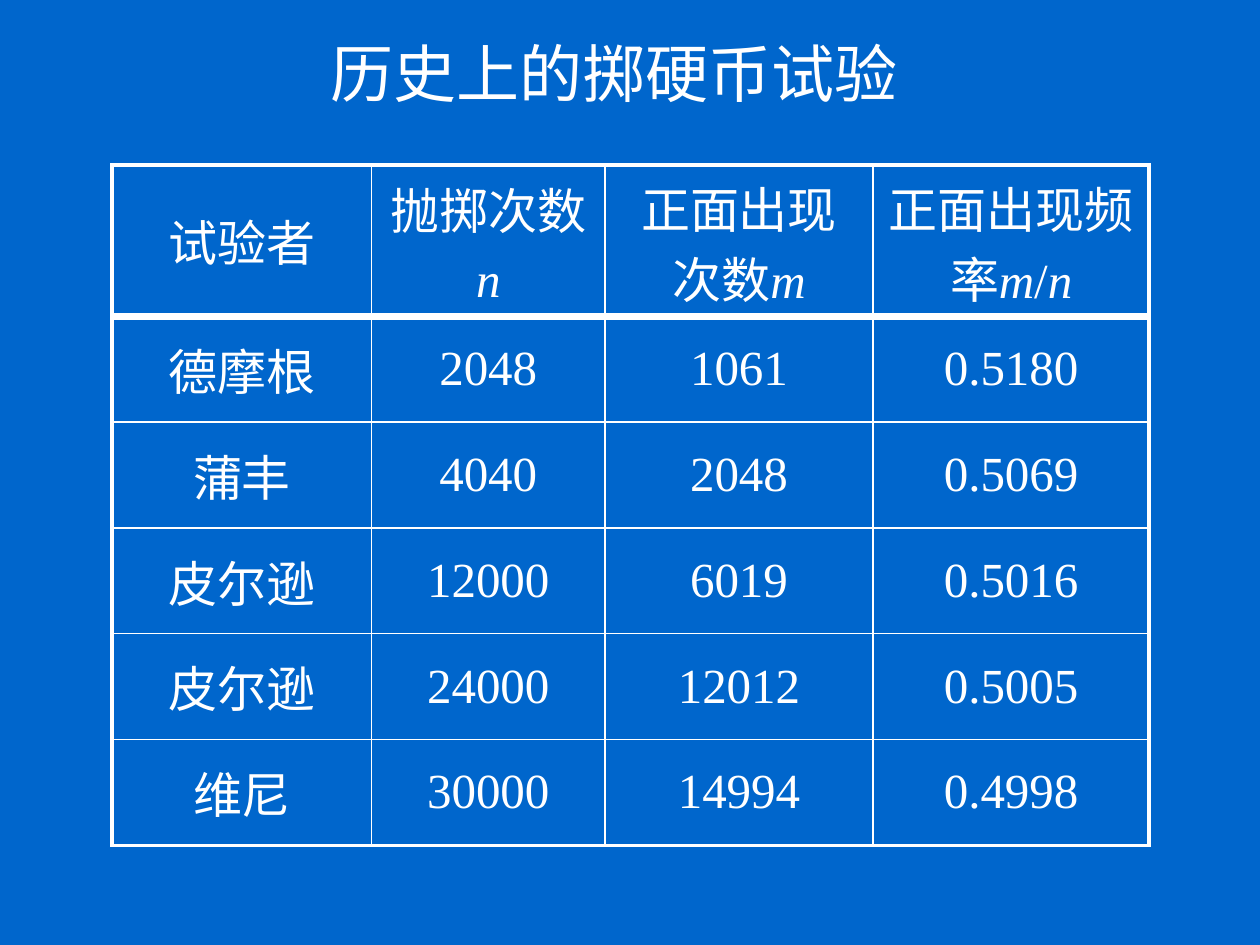
from dataclasses import dataclass
from typing import Any, NamedTuple

from lxml import etree
from pptx import Presentation
from pptx import util as u
from pptx.dml import color
from pptx.enum import text
from pptx.oxml import ns


@dataclass(frozen=True)
class Theme:
    background: str = "0066CC"
    ink: str = "FFFFFF"
    font: str = "Times New Roman"
    title_size: float = 36
    body_size: float = 28
    thin: float = 1
    frame: float = 2.25
    header_rule: float = 4.5


class Piece(NamedTuple):
    words: str
    italic: bool = False


class Trial(NamedTuple):
    experimenter: str
    tosses: str
    heads: str
    frequency: str


THEME = Theme()
SPACE_BEFORE = 20000

HEADINGS = [
    [[Piece("试验者")]],
    [[Piece("抛掷次数")], [Piece("n", True)]],
    [[Piece("正面出现次数"), Piece("m", True)]],
    [[Piece("正面出现频率"), Piece("m", True), Piece("/"), Piece("n", True)]],
]
TRIALS = [
    Trial("德摩根", "2048", "1061", "0.5180"),
    Trial("蒲丰", "4040", "2048", "0.5069"),
    Trial("皮尔逊", "12000", "6019", "0.5016"),
    Trial("皮尔逊", "24000", "12012", "0.5005"),
    Trial("维尼", "30000", "14994", "0.4998"),
]
COLUMN_WIDTHS = [2.06, 1.85, 2.13, 2.19]
ROW_HEIGHTS = [1.2] + [0.84] * len(TRIALS)


def apply_format(target: Any, values: dict[str, Any]) -> None:
    for name, value in values.items():
        setattr(target, name, value)


def write_line(paragraph: Any, pieces: list[Piece], size: float) -> None:
    paragraph.alignment = text.PP_ALIGN.CENTER
    for piece in pieces:
        run = paragraph.add_run()
        run.text = piece.words
        apply_format(run.font, {
            "name": THEME.font, "size": u.Pt(size), "italic": piece.italic,
        })
        run.font.color.rgb = color.RGBColor.from_string(THEME.ink)


def add_space_before(paragraph: Any) -> None:
    properties = paragraph._p.get_or_add_pPr()
    spacing = etree.SubElement(properties, ns.qn("a:spcBef"))
    etree.SubElement(spacing, ns.qn("a:spcPct"), val=str(SPACE_BEFORE))


def draw_borders(cell: Any, widths: dict[str, float]) -> None:
    properties = cell._tc.get_or_add_tcPr()
    for position, (side, width) in enumerate(widths.items()):
        border = etree.Element(ns.qn(f"a:ln{side}"), w=str(u.Pt(width)))
        fill = etree.SubElement(border, ns.qn("a:solidFill"))
        etree.SubElement(fill, ns.qn("a:srgbClr"), val=THEME.ink)
        properties.insert(position, border)


def fill_cell(cell: Any, lines: list[list[Piece]]) -> None:
    apply_format(cell, {
        "vertical_anchor": text.MSO_ANCHOR.MIDDLE,
        "margin_left": u.Inches(0.1), "margin_right": u.Inches(0.1),
        "margin_top": u.Inches(0.05), "margin_bottom": u.Inches(0.05),
    })
    cell.fill.background()
    frame = cell.text_frame
    for index, pieces in enumerate(lines):
        paragraph = frame.add_paragraph() if index else frame.paragraphs[0]
        write_line(paragraph, pieces, THEME.body_size)
        add_space_before(paragraph)


def add_title(slide: Any, words: str) -> None:
    title = slide.shapes.add_textbox(0, 0, u.Inches(9.75), u.Inches(0.92))
    apply_format(title.text_frame, {
        "word_wrap": True, "vertical_anchor": text.MSO_ANCHOR.BOTTOM,
    })
    write_line(title.text_frame.paragraphs[0], [Piece(words)], THEME.title_size)


def add_trials_table(slide: Any) -> None:
    contents = [HEADINGS] + [
        [[[Piece(value)]] for value in trial] for trial in TRIALS
    ]
    table = slide.shapes.add_table(
        len(ROW_HEIGHTS), len(COLUMN_WIDTHS), u.Inches(0.89), u.Inches(1.31),
        u.Inches(sum(COLUMN_WIDTHS)), u.Inches(sum(ROW_HEIGHTS)),
    ).table
    apply_format(table, {"first_row": False, "horz_banding": False})
    for column, width in zip(table.columns, COLUMN_WIDTHS):
        column.width = u.Inches(width)
    for row, height in zip(table.rows, ROW_HEIGHTS):
        row.height = u.Inches(height)

    across = [THEME.frame, THEME.header_rule]
    across += [THEME.thin] * (len(TRIALS) - 1) + [THEME.frame]
    down = [THEME.frame]
    down += [THEME.thin] * (len(COLUMN_WIDTHS) - 1) + [THEME.frame]
    for r, row_contents in enumerate(contents):
        for c, lines in enumerate(row_contents):
            cell = table.cell(r, c)
            fill_cell(cell, lines)
            draw_borders(cell, {
                "L": down[c], "R": down[c + 1],
                "T": across[r], "B": across[r + 1],
            })


def main() -> None:
    deck = Presentation()
    apply_format(deck, {
        "slide_width": u.Inches(10), "slide_height": u.Inches(7.5),
    })
    slide = deck.slides.add_slide(deck.slide_layouts[6])
    backdrop = slide.background.fill
    backdrop.solid()
    backdrop.fore_color.rgb = color.RGBColor.from_string(THEME.background)
    add_title(slide, "历史上的掷硬币试验")
    add_trials_table(slide)
    deck.save("out.pptx")


if __name__ == "__main__":
    main()
